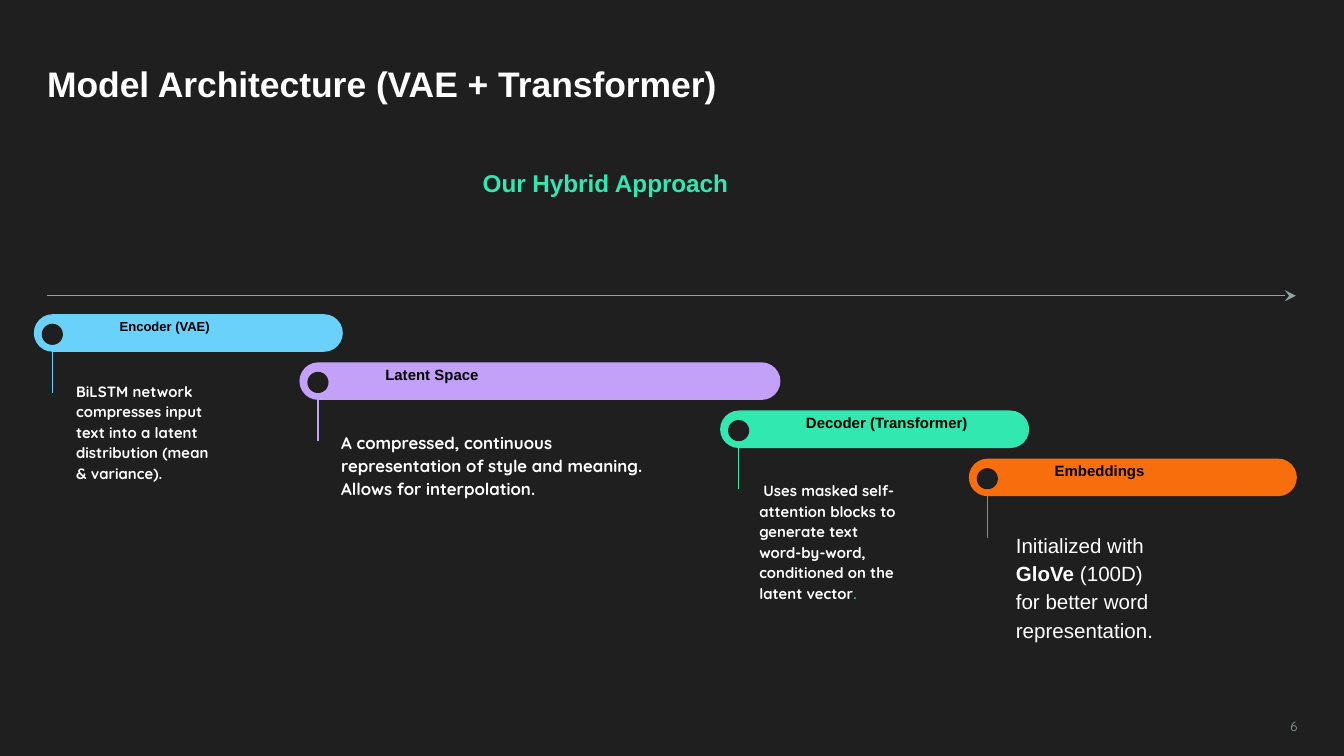
from lxml.etree import SubElement
from pptx import Presentation
from pptx.dml.color import RGBColor
from pptx.enum.shapes import MSO_CONNECTOR, MSO_SHAPE
from pptx.enum.text import MSO_ANCHOR, MSO_AUTO_SIZE, PP_ALIGN
from pptx.oxml.ns import qn
from pptx.util import Cm, Pt

HUES = {
    "dark": "1F1F1F", "white": "FFFFFF", "black": "000000", "gray": "93A2A2",
    "blue": "6AD1FA", "violet": "C3A1F8", "green": "30E8B0", "orange": "F96E0C",
}
TITLE = "Model Architecture (VAE + Transformer)"
HEAD = "Our Hybrid Approach"
PAGE = "6"

STAGES = [
    {"name": "Encoder (VAE)", "hue": "blue", "left": 0.64, "width": 5.84, "size": 7,
     "box": (-0.08, 6.93, 4.5, 2.95), "font": ("Quicksand", 8, True),
     "note": [("BiLSTM network compresses input text into a latent distribution "
               "(mean & variance).", {})]},
    {"name": "Latent Space", "hue": "violet", "left": 5.66, "width": 9.09, "size": 8,
     "box": (4.93, 7.87, 7.67, 2.31), "font": ("Quicksand", 9, True),
     "note": [("A compressed, continuous representation of style and meaning. "
               "Allows for interpolation.", {})]},
    {"name": "Decoder (Transformer)", "hue": "green", "left": 13.61, "width": 5.84, "size": 8,
     "box": (12.83, 8.81, 4.5, 3.61), "font": ("Quicksand", 8, True),
     "note": [(" Uses masked self-attention blocks to generate text word-by-word, "
               "conditioned on the latent vector", {}),
              (".", {"size": 7, "hue": "green"})]},
    {"name": "Embeddings", "hue": "orange", "left": 18.31, "width": 6.2, "size": 8,
     "box": (17.68, 9.75, 4.5, 3.15), "font": ("Arial", 11, False),
     "note": [("Initialized with ", {}), ("GloVe", {"bold": True}),
              (" (100D) for better word representation.", {})]},
]
TOP, STEP, TALL = 5.94, 0.91, 0.71
DOT, DOT_X, DOT_Y, STEM = 0.4, 0.15, 0.18, 0.91
PAD, INDENT = 0.25, 1.52


def tint(name):
    return RGBColor.from_string(HUES[name])


def write(shape, runs, face, size, bold, hue, align=PP_ALIGN.LEFT,
          anchor=MSO_ANCHOR.TOP, pads=(PAD, PAD, PAD, PAD), space=1.15):
    frame = shape.text_frame
    frame.word_wrap = True
    frame.auto_size = MSO_AUTO_SIZE.NONE
    frame.vertical_anchor = anchor
    frame.margin_left, frame.margin_top, frame.margin_right, frame.margin_bottom = map(Cm, pads)
    para = frame.paragraphs[0]
    para.alignment = align
    para.line_spacing = space
    para.space_before = Pt(0)
    font = para.font
    font.name, font.size, font.bold = face, Pt(size), bold
    font.color.rgb = tint(hue)
    for text, style in runs:
        run = para.add_run()
        run.text = text
        if "bold" in style:
            run.font.bold = style["bold"]
        if "size" in style:
            run.font.size = Pt(style["size"])
        if "hue" in style:
            run.font.color.rgb = tint(style["hue"])


def draw(kind, box, hue):
    shape = slide.shapes.add_shape(kind, *map(Cm, box))
    shape.shadow.inherit = False
    shape.fill.solid()
    shape.fill.fore_color.rgb = tint(hue)
    shape.line.fill.background()
    return shape


def rule(ends, hue):
    line = slide.shapes.add_connector(MSO_CONNECTOR.STRAIGHT, *map(Cm, ends))
    line.line.color.rgb = tint(hue)
    line.line.width = Pt(0.75)
    SubElement(line.element.spPr, qn("a:effectLst"))
    return line


def label(box):
    return slide.shapes.add_textbox(*map(Cm, box))


deck = Presentation()
deck.slide_width, deck.slide_height = Cm(25.4), Cm(14.29)
slide = deck.slides.add_slide(deck.slide_layouts[5])
slide.background.fill.solid()
slide.background.fill.fore_color.rgb = tint("dark")

title = slide.shapes.title
title.left, title.top, title.width, title.height = map(Cm, (0.64, 0.81, 15.85, 2.7))
write(title, [(TITLE, {})], "Arial", 19, True, "white")
write(label((6.73, 2.72, 9.42, 1.65)), [(HEAD, {})], "Arial", 13, True, "green",
      PP_ALIGN.CENTER, MSO_ANCHOR.MIDDLE, (PAD, PAD, PAD, 0.5))
write(label((18.67, 13.34, 6.1, 0.81)), [(PAGE, {})], "Quicksand", 7, False, "gray",
      PP_ALIGN.RIGHT, space=1.0)

axis = rule((0.89, 5.59, 24.49, 5.59), "gray")
SubElement(axis.line.fill and axis.element.spPr.find(qn("a:ln")), qn("a:tailEnd"), type="stealth")

for i, stage in enumerate(STAGES):
    left, top, hue = stage["left"], TOP + i * STEP, stage["hue"]
    pill = draw(MSO_SHAPE.ROUNDED_RECTANGLE, (left, top, stage["width"], TALL), hue)
    pill.adjustments[0] = 0.5
    write(pill, [(stage["name"], {})], "Arial", stage["size"], True, "black",
          anchor=MSO_ANCHOR.MIDDLE, pads=(INDENT, 0, PAD, PAD), space=1.0)
    draw(MSO_SHAPE.OVAL, (left + DOT_X, top + DOT_Y, DOT, DOT), "dark")
    mid, low = left + DOT_X + DOT / 2, top + DOT_Y + DOT
    rule((mid, low, mid, low + STEM), hue)
    write(label(stage["box"]), stage["note"], *stage["font"], "white",
          pads=(INDENT, PAD, PAD, 0))

deck.save("out.pptx")
